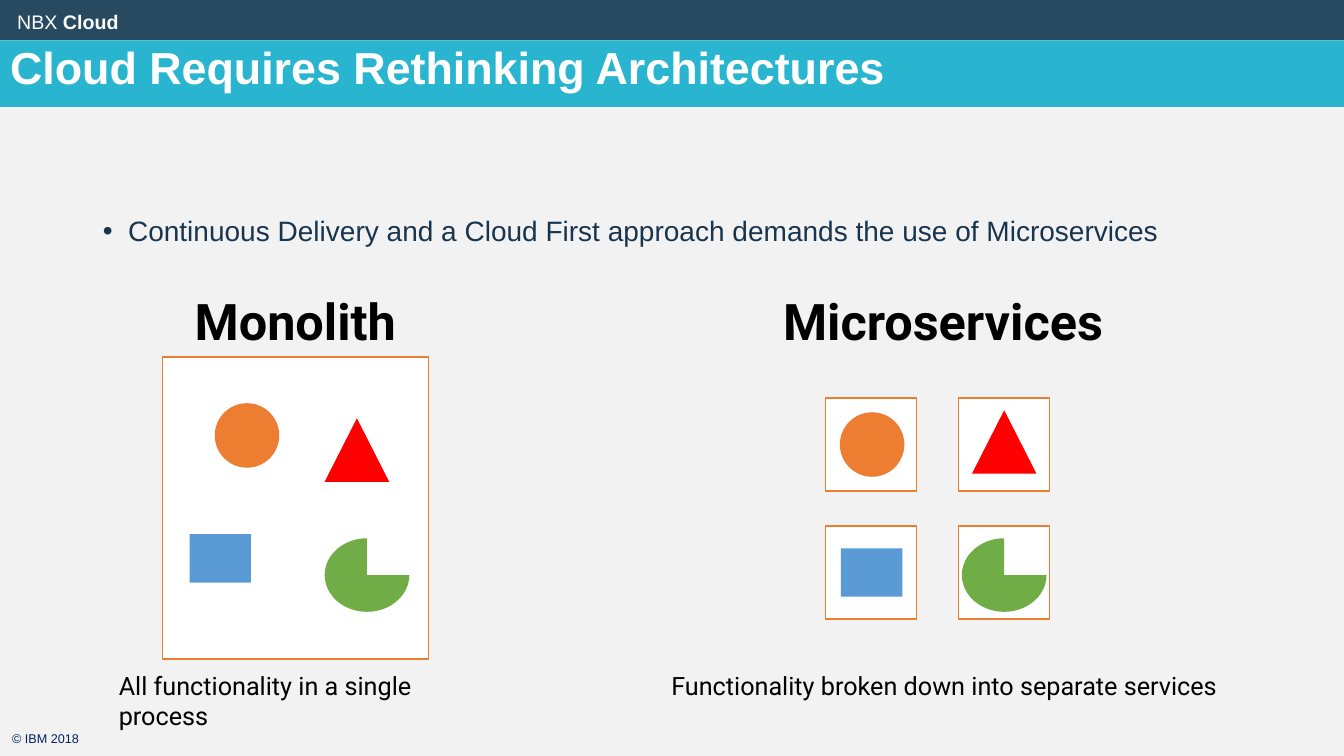
from dataclasses import dataclass

from lxml.etree import SubElement
from pptx import Presentation
from pptx.dml.color import RGBColor
from pptx.enum.shapes import MSO_SHAPE as Kind
from pptx.enum.text import MSO_ANCHOR as Anchor, MSO_AUTO_SIZE as Fit, PP_ALIGN as Align
from pptx.oxml.ns import qn
from pptx.util import Inches, Pt


@dataclass(frozen=True)
class Theme:
    # Colours
    back: str = "F2F2F2"
    bar: str = "274A60"
    band: str = "29B5CF"
    white: str = "FFFFFF"
    black: str = "000000"
    body: str = "19354D"
    foot: str = "002060"
    orange: str = "ED7D31"
    red: str = "FF0000"
    blue: str = "5B9BD5"
    green: str = "70AD47"
    # Fonts and type sizes
    sans: str = "Arial"
    label: str = "Roboto"
    title: int = 32
    head: int = 36
    list: int = 20
    note: int = 18
    brand: int = 14
    small: int = 9


T = Theme()

# Kind, colour, size, place in the monolith, place as a service
FIGURES = [
    (Kind.OVAL, T.orange, (0.64, 0.64), (2.13, 4), (8.33, 4.09)),
    (Kind.ISOSCELES_TRIANGLE, T.red, (0.64, 0.63), (3.22, 4.15), (9.64, 4.07)),
    (Kind.RECTANGLE, T.blue, (0.61, 0.48), (1.88, 5.3), (8.34, 5.44)),
    (Kind.PIE, T.green, (0.84, 0.73), (3.22, 5.34), (9.54, 5.34)),
]


def rgb(code):
    return RGBColor.from_string(code)


def place(shape, box):
    shape.left, shape.top, shape.width, shape.height = map(Inches, box)


def write(shape, *runs, size, color, font=T.sans, align=Align.LEFT,
          anchor=Anchor.TOP, inset=(0.1, 0.05), spacing=1.0, bullet=False):
    """Fill a shape with one paragraph; each run is (text, bold)."""
    frame = shape.text_frame
    frame.word_wrap = True
    frame.auto_size = Fit.NONE
    frame.vertical_anchor = anchor
    frame.margin_left = frame.margin_right = Inches(inset[0])
    frame.margin_top = frame.margin_bottom = Inches(inset[1])
    para = frame.paragraphs[0]
    para.alignment = align
    para.line_spacing = spacing
    para.space_before = Pt(0)
    if bullet:
        props = para._p.get_or_add_pPr()
        props.set("marL", str(Inches(0.25)))
        props.set("indent", str(-Inches(0.25)))
        SubElement(props, qn("a:buChar")).set("char", "•")
    for text, bold in runs:
        run = para.add_run()
        run.text = text
        run.font.name = font
        run.font.size = Pt(size)
        run.font.bold = bold
        run.font.color.rgb = rgb(color)


def label(shapes, box, *runs, **form):
    write(shapes.add_textbox(*map(Inches, box)), *runs, **form)


def draw(shapes, kind, box, fill, line=None):
    shape = shapes.add_shape(kind, *map(Inches, box))
    shape.shadow.inherit = False
    shape.fill.solid()
    shape.fill.fore_color.rgb = rgb(fill)
    if line:
        shape.line.color.rgb = rgb(line)
        shape.line.width = Pt(1)
    else:
        shape.line.fill.background()


def frame(shapes, box):
    draw(shapes, Kind.RECTANGLE, box, T.white, T.orange)


def caption(shapes, head, head_box, note, note_box):
    label(shapes, head_box, (head, True), size=T.head, color=T.black,
          font=T.label, align=Align.CENTER)
    label(shapes, note_box, (note, False), size=T.note, color=T.black, font=T.label)


def header(slide):
    draw(slide.shapes, Kind.RECTANGLE, (0, 0, 13.33, 0.4), T.bar)
    label(slide.shapes, (0.12, 0.08, 1.6, 0.31), ("NBX ", False), ("Cloud", True),
          size=T.brand, color=T.white, inset=(0.05, 0.05), spacing=0.9)
    title = slide.shapes.title
    place(title, (0, 0.4, 13.33, 0.66))
    title.fill.solid()
    title.fill.fore_color.rgb = rgb(T.band)
    write(title, ("Cloud Requires Rethinking Architectures", True),
          size=T.title, color=T.white, spacing=0.9)


def points(slide):
    body = slide.placeholders[1]
    place(body, (0.92, 2.11, 11.5, 4.76))
    write(body, ("Continuous Delivery and a Cloud First approach demands "
                 "the use of Microservices", False),
          size=T.list, color=T.body, spacing=0.9, bullet=True)


def monolith(slide):
    shapes = slide.shapes.add_group_shape().shapes
    frame(shapes, (1.61, 3.54, 2.64, 3))
    for kind, fill, size, spot, _ in FIGURES:
        draw(shapes, kind, spot + size, fill)
    caption(shapes, "Monolith", (1.61, 2.83, 2.64, 0.71),
            "All functionality in a single process", (1.08, 6.6, 3.87, 0.7))


def services(slide):
    shapes = slide.shapes.add_group_shape().shapes
    # One tile for each figure, two by two
    for i, (kind, fill, size, _, spot) in enumerate(FIGURES):
        row, col = divmod(i, 2)
        frame(shapes, (8.19 + 1.32 * col, 3.95 + 1.27 * row, 0.9, 0.92))
        draw(shapes, kind, spot + size, fill)
    caption(shapes, "Microservices", (7.49, 2.83, 3.73, 0.71),
            "Functionality broken down into separate services",
            (6.56, 6.6, 5.97, 0.4))


def main():
    deck = Presentation()
    deck.slide_width, deck.slide_height = Inches(13.33), Inches(7.5)
    slide = deck.slides.add_slide(deck.slide_layouts[1])
    slide.background.fill.solid()
    slide.background.fill.fore_color.rgb = rgb(T.back)

    header(slide)
    points(slide)
    monolith(slide)
    services(slide)

    # Footer
    label(slide.shapes, (0.12, 7.25, 3.6, 0.16), ("© IBM 2018", False),
          size=T.small, color=T.foot, anchor=Anchor.MIDDLE, inset=(0, 0))
    deck.save("out.pptx")


if __name__ == "__main__":
    main()
